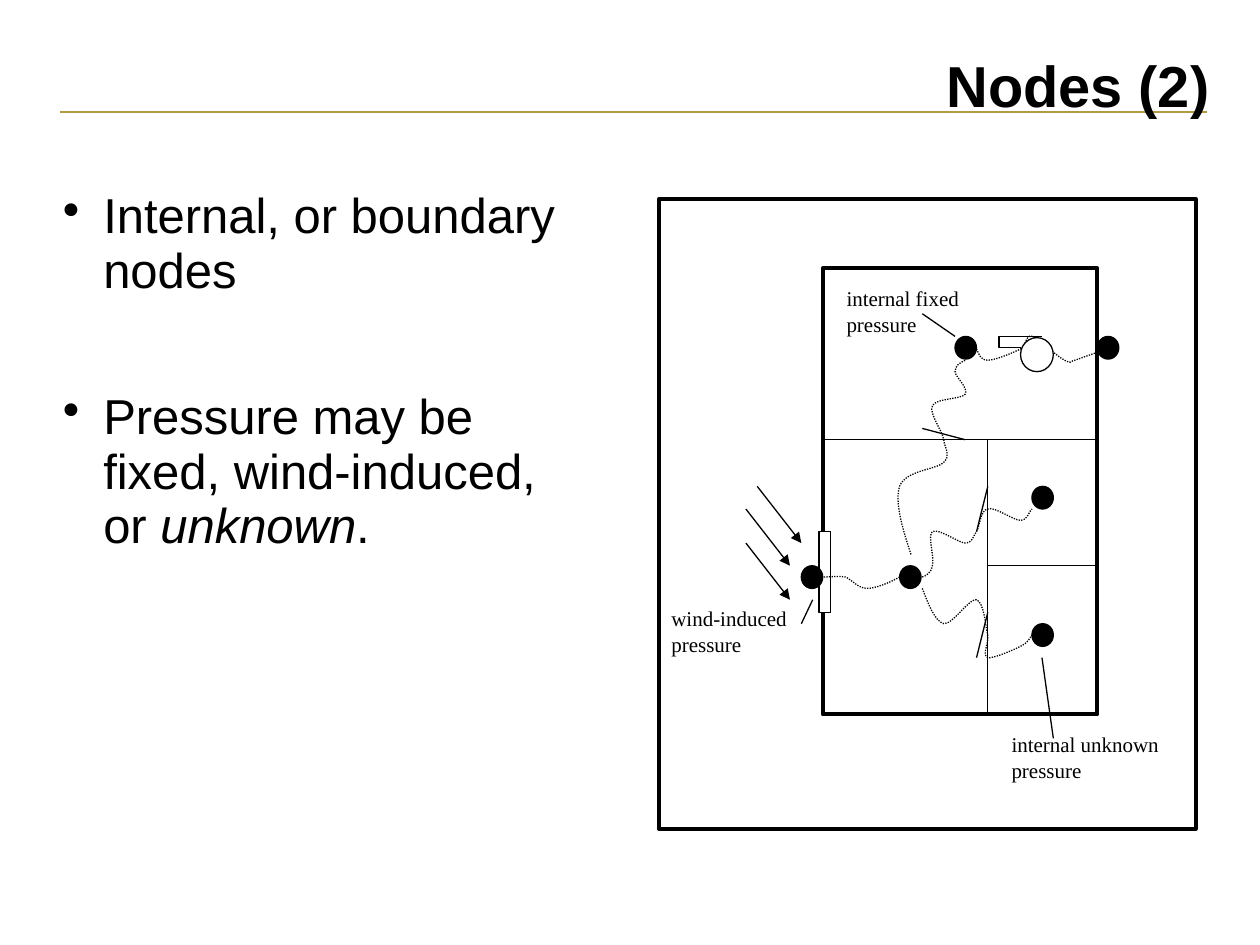
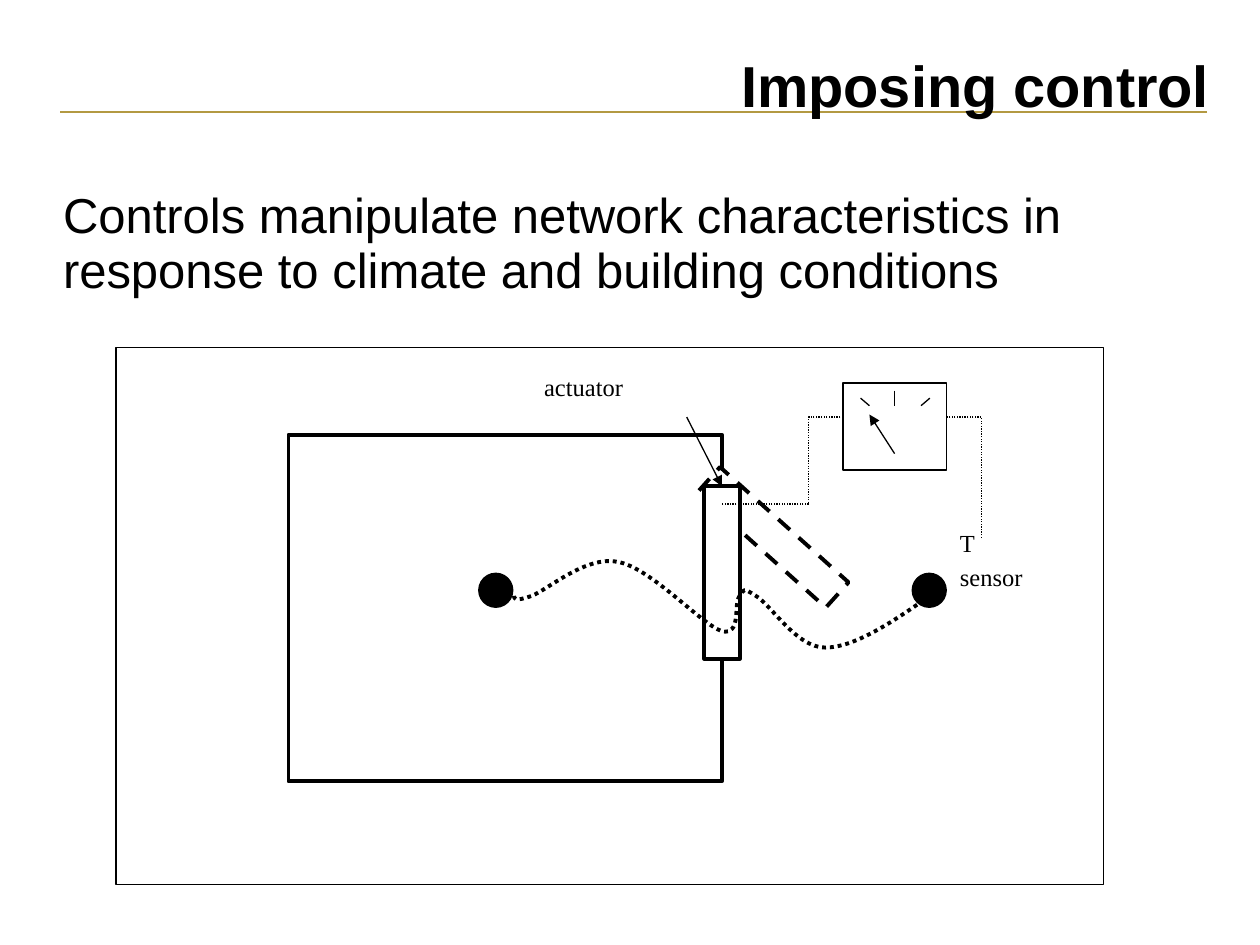
from typing import NamedTuple

from lxml.etree import SubElement
from pptx import Presentation
from pptx.dml.color import RGBColor
from pptx.enum.dml import MSO_LINE
from pptx.enum.shapes import MSO_CONNECTOR, MSO_SHAPE
from pptx.enum.text import MSO_ANCHOR, MSO_AUTO_SIZE, PP_ALIGN
from pptx.oxml.ns import qn
from pptx.util import Inches, Pt

BLACK, WHITE, GOLD = "000000", "FFFFFF", "B39942"
BODY_FONT, LABEL_FONT = "Arial", "Times New Roman"
THIN, THICK = 0.75, 2.25
NODE_WIDTH, NODE_HEIGHT = 0.17, 0.18
ZONE_NODE = 0.27

Point = tuple[float, float]


class Box(NamedTuple):
    left: float
    top: float
    width: float
    height: float


class Line(NamedTuple):
    start: Point
    end: Point
    arrow: bool = False


class Label(NamedTuple):
    text: str
    box: Box


class Airflow(NamedTuple):
    """Bezier chain: a start point, then three points per curve."""
    points: list[Point]


# Slide 1: the building and its network
WALLS = [
    Line((6.53, 3.49), (8.71, 3.49)),
    Line((7.84, 3.49), (7.84, 5.67)),
    Line((7.84, 4.49), (8.71, 4.49)),
]
DOORS = [
    Line((7.84, 3.86), (7.75, 4.22)),
    Line((7.84, 4.86), (7.75, 5.22)),
    Line((7.32, 3.4), (7.66, 3.49)),
]
WIND = [
    Line((left, top), (left + 0.35, top + 0.45), arrow=True)
    for left, top in [(5.92, 4.04), (6.01, 3.86), (5.92, 4.31)]
]
POINTERS = [
    Line((7.32, 2.49), (7.58, 2.67)),
    Line((6.36, 4.95), (6.45, 4.76)),
    Line((8.36, 5.86), (8.27, 5.22)),
]
NETWORK_NODES = [
    (7.58, 2.67), (7.14, 4.49), (8.19, 3.86),
    (8.19, 4.95), (6.36, 4.49), (8.71, 2.67),
]
NETWORK_FLOWS = [
    Airflow([(7.23, 4.4), (7.16, 4.19), (7.1, 3.98), (7.14, 3.86),
             (7.19, 3.73), (7.43, 3.73), (7.49, 3.67),
             (7.55, 3.61), (7.5, 3.57), (7.49, 3.49),
             (7.48, 3.42), (7.37, 3.28), (7.4, 3.22),
             (7.43, 3.16), (7.63, 3.17), (7.66, 3.13),
             (7.69, 3.08), (7.58, 2.99), (7.58, 2.95),
             (7.58, 2.9), (7.62, 2.88), (7.66, 2.86)]),
    Airflow([(7.32, 4.67), (7.37, 4.8), (7.42, 4.93), (7.49, 4.95),
             (7.56, 4.96), (7.69, 4.75), (7.75, 4.76),
             (7.81, 4.78), (7.82, 4.96), (7.84, 5.04),
             (7.85, 5.11), (7.79, 5.2), (7.84, 5.22),
             (7.88, 5.23), (8.04, 5.16), (8.1, 5.13),
             (8.16, 5.1), (8.17, 5.07), (8.19, 5.04)]),
    Airflow([(7.32, 4.58), (7.35, 4.57), (7.39, 4.55), (7.4, 4.49),
             (7.42, 4.43), (7.36, 4.25), (7.4, 4.22),
             (7.45, 4.19), (7.61, 4.31), (7.66, 4.31),
             (7.72, 4.31), (7.72, 4.26), (7.75, 4.22),
             (7.78, 4.17), (7.78, 4.05), (7.84, 4.04),
             (7.9, 4.02), (8.04, 4.13), (8.1, 4.13),
             (8.16, 4.13), (8.17, 4.05), (8.19, 4.04)]),
    Airflow([(7.75, 2.77), (7.77, 2.81), (7.78, 2.86), (7.84, 2.86),
             (7.9, 2.86), (8.04, 2.8), (8.1, 2.77),
             (8.16, 2.73), (8.13, 2.66), (8.19, 2.67),
             (8.24, 2.69), (8.39, 2.83), (8.45, 2.86),
             (8.51, 2.89), (8.48, 2.87), (8.53, 2.86),
             (8.59, 2.84), (8.69, 2.8), (8.8, 2.77)]),
    Airflow([(7.14, 4.58), (7.05, 4.63), (6.95, 4.67), (6.88, 4.67),
             (6.81, 4.67), (6.76, 4.6), (6.71, 4.58),
             (6.65, 4.57), (6.59, 4.58), (6.53, 4.58)]),
]
DUCT = [(8.27, 2.67), (7.93, 2.67), (7.93, 2.76), (8.1, 2.76)]
PRESSURE_LABELS = [
    Label("wind-induced pressure", Box(5.23, 4.76, 1.39, 0.5)),
    Label("internal fixed pressure", Box(6.62, 2.22, 1.39, 0.5)),
    Label("internal unknown pressure", Box(7.93, 5.76, 1.74, 0.5)),
]

# Slide 2: the controlled damper
ZONE_FLOW = Airflow([
    (4.08, 4.73), (4.08, 4.75), (4.08, 4.78), (4.22, 4.73),
    (4.35, 4.68), (4.65, 4.41), (4.9, 4.46),
    (5.16, 4.5), (5.57, 4.96), (5.73, 5.01),
    (5.89, 5.05), (5.82, 4.78), (5.87, 4.73),
    (5.91, 4.68), (5.89, 4.66), (6, 4.73),
    (6.12, 4.8), (6.32, 5.14), (6.55, 5.14),
    (6.78, 5.14), (7.08, 4.94), (7.38, 4.73),
])
METER_MARKS = [
    Line((7.1, 3.6), (6.9, 3.29), arrow=True),
    Line((7.1, 3.1), (7.1, 3.22)),
    Line((7.38, 3.16), (7.31, 3.22)),
    Line((6.83, 3.16), (6.9, 3.22)),
]
SIGNAL_WIRES = [
    [(6.69, 3.31), (6.42, 3.31), (6.42, 4), (5.73, 4)],
    [(7.79, 4.27), (7.79, 3.31), (7.52, 3.31)],
]
CONTROL_LABELS = [
    Label("T", Box(7.52, 4.14, 0.69, 0.34)),
    Label("actuator", Box(4.22, 2.9, 3.85, 0.34)),
    Label("sensor", Box(7.52, 4.41, 1.65, 0.34)),
]


def color(value: str) -> RGBColor:
    return RGBColor.from_string(value)


def inches(values) -> list:
    return [Inches(value) for value in values]


def style_line(line, width: float, dash=None, line_color: str = BLACK) -> None:
    line.color.rgb = color(line_color)
    line.width = Pt(width)
    if dash is not None:
        line.dash_style = dash


def style_runs(paragraph, size: float, font: str, bold: bool = False) -> None:
    for run in paragraph.runs:
        run.font.size = Pt(size)
        run.font.name = font
        run.font.bold = bold
        run.font.color.rgb = color(BLACK)


def add_preset(shapes, kind, box: Box, width: float = THIN,
               fill: str = WHITE, dash=None):
    shape = shapes.add_shape(kind, *inches(box))
    shape.shadow.inherit = False
    shape.fill.solid()
    shape.fill.fore_color.rgb = color(fill)
    style_line(shape.line, width, dash)
    return shape


def add_node(shapes, left: float, top: float,
             width: float = NODE_WIDTH, height: float = NODE_HEIGHT) -> None:
    add_preset(shapes, MSO_SHAPE.OVAL, Box(left, top, width, height), fill=BLACK)


def add_line(shapes, line: Line, width: float = THIN, line_color: str = BLACK):
    connector = shapes.add_connector(
        MSO_CONNECTOR.STRAIGHT, *inches(line.start + line.end))
    style_line(connector.line, width, line_color=line_color)
    if line.arrow:
        SubElement(connector.line._get_or_add_ln(), qn("a:tailEnd"), type="triangle")
    SubElement(connector._element.spPr, qn("a:effectLst"))
    return connector


def add_outline(shapes, points: list[Point], width: float = THIN, dash=None):
    corners = [tuple(inches(point)) for point in points]
    builder = shapes.build_freeform(*corners[0], scale=1.0)
    builder.add_line_segments(corners[1:], close=False)
    shape = builder.convert_to_shape()
    shape.shadow.inherit = False
    shape.fill.background()
    style_line(shape.line, width, dash)
    return shape


def add_airflow(shapes, flow: Airflow, width: float = THIN) -> None:
    shape = add_outline(shapes, flow.points, width, MSO_LINE.ROUND_DOT)
    # Each run of three segments becomes one Bezier curve
    segments = list(shape._element.iter(qn("a:lnTo")))
    for index in range(0, len(segments), 3):
        first, *others = segments[index:index + 3]
        curve = first.getparent().makeelement(qn("a:cubicBezTo"))
        first.addprevious(curve)
        for segment in (first, *others):
            curve.append(segment[0])
            segment.getparent().remove(segment)


def add_text_box(shapes, box: Box):
    frame = shapes.add_textbox(*inches(box)).text_frame
    frame.word_wrap = True
    return frame


def add_label(shapes, label: Label, size: float, space: float) -> None:
    frame = add_text_box(shapes, label.box)
    frame.text = label.text
    paragraph = frame.paragraphs[0]
    paragraph.space_before = Pt(space)
    style_runs(paragraph, size, LABEL_FONT)


def remove_margins(frame) -> None:
    frame.margin_left = frame.margin_right = 0
    frame.margin_top = frame.margin_bottom = 0


def add_body(slide, width: float):
    frame = add_text_box(slide.shapes, Box(0.5, 1.51, width, 5.73))
    remove_margins(frame)
    return frame


def format_body(paragraph, space: float = 10.5, bullet: bool = False) -> None:
    paragraph.line_spacing = 0.93
    paragraph.space_before = Pt(space)
    style_runs(paragraph, 28, BODY_FONT)
    if bullet:
        properties = paragraph._p.get_or_add_pPr()
        properties.set("marL", str(Inches(0.32)))
        properties.set("indent", str(Inches(-0.32)))
        SubElement(properties, qn("a:buChar"), char="•")


def add_titled_slide(presentation, title_text: str):
    slide = presentation.slides.add_slide(presentation.slide_layouts[5])
    rule = add_line(slide.shapes, Line((9.58, 0.89), (0.48, 0.89)), 1.5, GOLD)
    title = slide.shapes.title
    title._element.addprevious(rule._element)
    title.left, title.top, title.width, title.height = inches((0.5, 0.47, 9.1, 0.49))
    frame = title.text_frame
    frame.text = title_text
    frame.auto_size = MSO_AUTO_SIZE.NONE
    frame.vertical_anchor = MSO_ANCHOR.MIDDLE
    remove_margins(frame)
    paragraph = frame.paragraphs[0]
    paragraph.alignment = PP_ALIGN.RIGHT
    paragraph.line_spacing = 0.84
    style_runs(paragraph, 33, BODY_FONT, bold=True)
    return slide


def build_nodes_slide(presentation) -> None:
    slide = add_titled_slide(presentation, "Nodes (2)")
    body = add_body(slide, 4.17)
    body.text = "Internal, or boundary nodes"
    format_body(body.paragraphs[0], bullet=True)
    pressure = body.add_paragraph()
    for text in ("Pressure may be fixed, wind-induced, or ", "unknown", "."):
        pressure.add_run().text = text
    format_body(pressure, space=52, bullet=True)
    pressure.runs[1].font.italic = True

    diagram = slide.shapes.add_group_shape().shapes
    # Frame, building and window
    add_preset(diagram, MSO_SHAPE.RECTANGLE, Box(5.23, 1.58, 4.26, 5), THICK)
    add_preset(diagram, MSO_SHAPE.RECTANGLE, Box(6.53, 2.13, 2.18, 3.54), THICK)
    for wall in WALLS:
        add_line(diagram, wall)
    add_preset(diagram, MSO_SHAPE.RECTANGLE, Box(6.5, 4.22, 0.09, 0.64))
    # Nodes, openings and flows
    for left, top in NETWORK_NODES:
        add_node(diagram, left, top)
    for line in DOORS + WIND + POINTERS:
        add_line(diagram, line)
    for flow in NETWORK_FLOWS:
        add_airflow(diagram, flow)
    # Fan
    add_preset(diagram, MSO_SHAPE.OVAL, Box(8.1, 2.68, 0.26, 0.27))
    add_outline(diagram, DUCT)
    for label in PRESSURE_LABELS:
        add_label(diagram, label, size=12, space=7.5)


def build_control_slide(presentation) -> None:
    slide = add_titled_slide(presentation, "Imposing control")
    body = add_body(slide, 9.09)
    body.text = ("Controls manipulate network characteristics in "
                 "response to climate and building conditions")
    format_body(body.paragraphs[0])

    diagram = slide.shapes.add_group_shape().shapes
    # Frame, zone, open and closed damper
    add_preset(diagram, MSO_SHAPE.RECTANGLE, Box(0.92, 2.76, 7.84, 4.26))
    add_preset(diagram, MSO_SHAPE.RECTANGLE, Box(2.29, 3.45, 3.44, 2.75), THICK)
    open_damper = add_preset(diagram, MSO_SHAPE.RECTANGLE,
                             Box(6, 3.58, 0.27, 1.37), THICK, dash=MSO_LINE.DASH)
    open_damper.rotation = 311.9
    damper = add_preset(diagram, MSO_SHAPE.RECTANGLE, Box(5.59, 3.86, 0.28, 1.37), THICK)
    # Nodes and flow
    for left in (3.8, 7.24):
        add_node(diagram, left, 4.55, ZONE_NODE, ZONE_NODE)
    add_airflow(diagram, ZONE_FLOW, THICK)
    # Controller and its wiring
    add_preset(diagram, MSO_SHAPE.RECTANGLE, Box(6.69, 3.04, 0.82, 0.69))
    for mark in METER_MARKS:
        add_line(diagram, mark)
    for wire in SIGNAL_WIRES:
        add_outline(diagram, wire, dash=MSO_LINE.ROUND_DOT)
    for label in CONTROL_LABELS:
        add_label(diagram, label, size=14, space=8.8)
    actuator = add_line(diagram, Line((5.45, 3.31), (5.73, 3.86), arrow=True))
    actuator.end_connect(damper, 0)


def main() -> None:
    presentation = Presentation()
    presentation.slide_width, presentation.slide_height = Inches(10), Inches(7.5)
    build_nodes_slide(presentation)
    build_control_slide(presentation)
    presentation.save("out.pptx")


if __name__ == "__main__":
    main()
